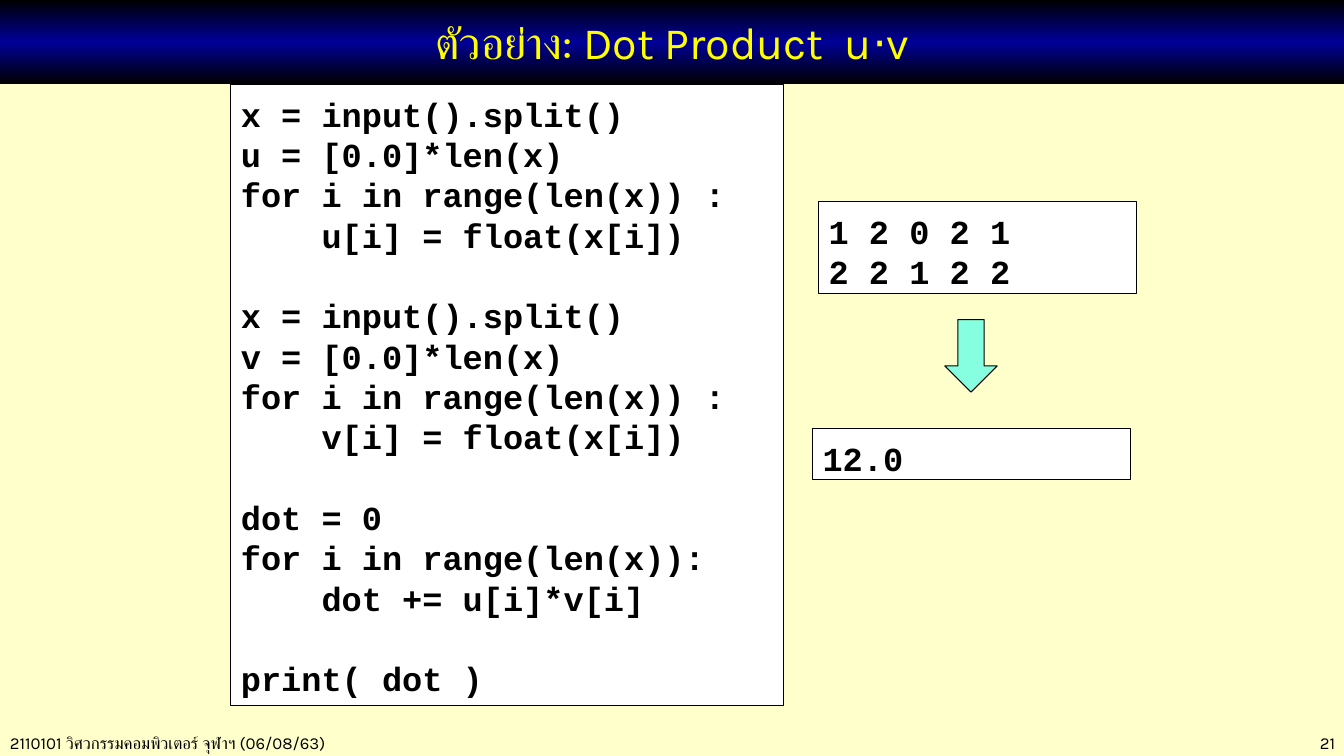
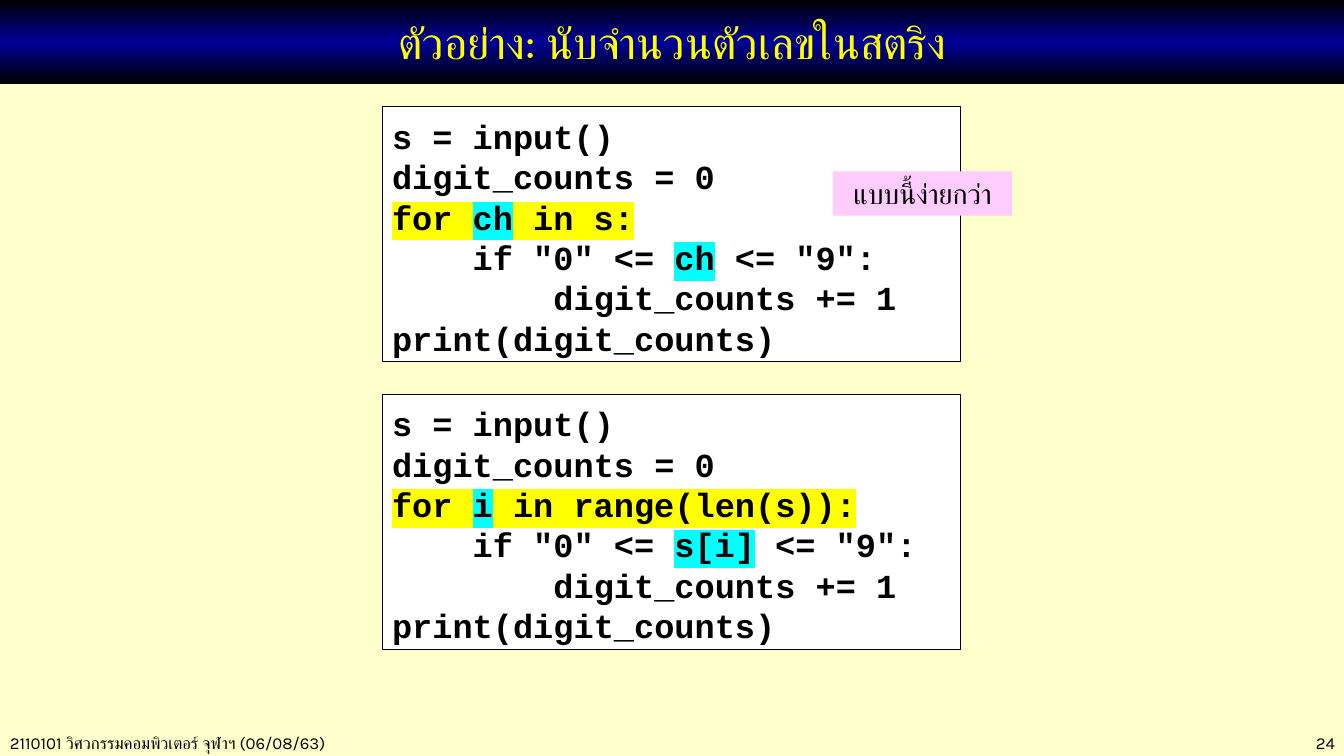
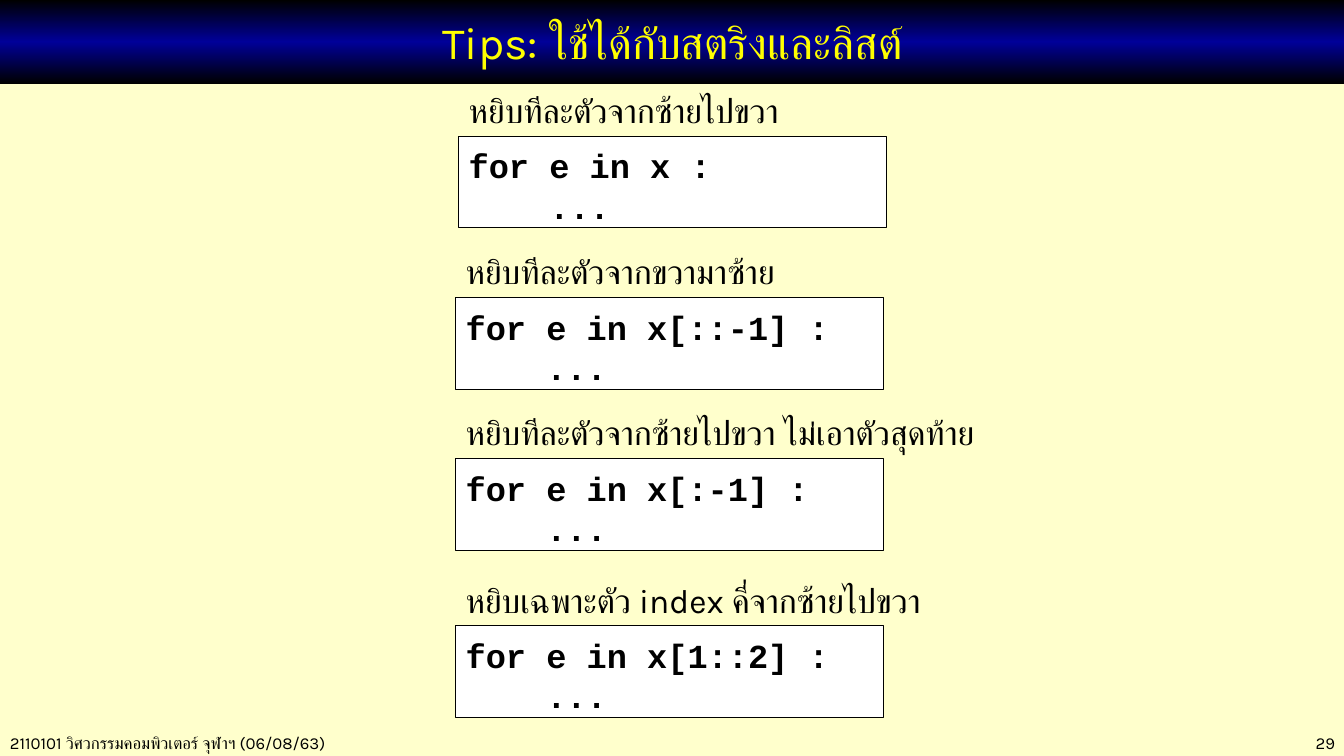
from copy import deepcopy
from dataclasses import dataclass

from lxml import etree
from pptx import Presentation
from pptx.dml.color import RGBColor
from pptx.enum.shapes import MSO_SHAPE
from pptx.enum.text import MSO_ANCHOR, PP_ALIGN
from pptx.oxml.ns import qn
from pptx.util import Emu, Pt

PX = 9144  # EMU per px, 100 px to the inch
LEFT, CENTER, RIGHT = PP_ALIGN.LEFT, PP_ALIGN.CENTER, PP_ALIGN.RIGHT
RECTANGLE, DOWN_ARROW = MSO_SHAPE.RECTANGLE, MSO_SHAPE.DOWN_ARROW


@dataclass(frozen=True)
class Theme:
    background: str = "FFFFCC"
    ink: str = "000000"
    paper: str = "FFFFFF"
    title: str = "FFFF00"
    band: tuple = ("000000", "000099", "000000")
    arrow: str = "85FFE0"
    remark: str = "FFCCFF"
    loop: str = "FFFF00"
    item: str = "00FFFF"
    text_font: str = "Karla"
    code_font: str = "Courier New"
    title_size: int = 32
    body_size: int = 24
    remark_size: int = 20
    footer_size: int = 12
    code_line: float = 28.8


THEME = Theme()


def write(shape, lines, size, align=LEFT, color=THEME.ink, code=False):
    """Fill a shape with lines; a line is a string or a list of (text, highlight)."""
    frame = shape.text_frame
    frame.word_wrap = True
    frame.vertical_anchor = MSO_ANCHOR.TOP
    if code:
        frame.margin_top = Emu(9 * PX)
    family = THEME.code_font if code else THEME.text_font
    paragraph, gap = None, 0
    for line in lines:
        if not line:
            gap += THEME.code_line
            continue
        paragraph = frame.add_paragraph() if paragraph else frame.paragraphs[0]
        paragraph.alignment = align
        paragraph.space_before = Pt(gap)
        gap = 0
        if code:
            paragraph.line_spacing = Pt(THEME.code_line)
        font = paragraph.font
        font.size, font.bold, font.name = Pt(size), code, family
        font.color.rgb = RGBColor.from_string(color)
        defaults = paragraph._p.pPr.find(qn("a:defRPr"))
        etree.SubElement(defaults, qn("a:cs")).set("typeface", family)
        for text, highlight in [(line, None)] if isinstance(line, str) else line:
            span = paragraph.add_run()
            span.text = text
            if highlight:
                mark = etree.SubElement(span._r.get_or_add_rPr(), qn("a:highlight"))
                etree.SubElement(mark, qn("a:srgbClr")).set("val", highlight)


def add_box(page, area, fill, kind=RECTANGLE, outlined=True):
    box = page.shapes.add_shape(kind, *(Emu(n * PX) for n in area))
    box.shadow.inherit = False
    box.fill.solid()
    box.fill.fore_color.rgb = RGBColor.from_string(fill)
    if outlined:
        box.line.color.rgb = RGBColor.from_string(THEME.ink)
        box.line.width = Pt(0.75)
    else:
        box.line.fill.background()
    return box


deck = Presentation()
deck.slide_width, deck.slide_height = Emu(1333 * PX), Emu(750 * PX)
background = deck.slide_master.background.fill
background.solid()
background.fore_color.rgb = RGBColor.from_string(THEME.background)

# Title band and footers
pages = []
for title, number in [
    ("ตัวอย่าง: Dot Product  u⋅v", "21"),
    ("ตัวอย่าง: นับจำนวนตัวเลขในสตริง", "24"),
    ("Tips: ใช้ได้กับสตริงและลิสต์", "29"),
]:
    page = deck.slides.add_slide(deck.slide_layouts[5])
    pages.append(page)
    band = page.shapes.title
    band.left, band.top = Emu(0), Emu(0)
    band.width, band.height = Emu(1334 * PX), Emu(83 * PX)
    band.fill.gradient()
    band.fill.gradient_angle = 90
    stops = band._element.spPr.find(".//" + qn("a:gsLst"))
    stops.insert(1, deepcopy(stops[0]))
    for index, (stop, color) in enumerate(zip(band.fill.gradient_stops, THEME.band)):
        stop.position = index / 2
        stop.color.rgb = RGBColor.from_string(color)
    write(band, [title], THEME.title_size, CENTER, THEME.title)
    band.text_frame.vertical_anchor = MSO_ANCHOR.MIDDLE

    for left, width, text, align in [
        (0, 520, "2110101 วิศวกรรมคอมพิวเตอร์ จุฬาฯ (06/08/63)", LEFT),
        (1150, 184, number, RIGHT),
    ]:
        footer = page.shapes.add_textbox(*(Emu(n * PX) for n in (left, 722, width, 30)))
        write(footer, [text], THEME.footer_size, align)

dot_page, digits_page, tips_page = pages

# Dot product
read_vectors = []
for vector in "uv":
    read_vectors += [
        "x = input().split()",
        f"{vector} = [0.0]*len(x)",
        "for i in range(len(x)) :",
        f"    {vector}[i] = float(x[i])",
        "",
    ]
dot_code = read_vectors + [
    "dot = 0",
    "for i in range(len(x)):",
    "    dot += u[i]*v[i]",
    "",
    "print( dot )",
]
for area, lines in [
    ((229, 84, 548, 616), dot_code),
    ((812, 200, 315, 91), ["1 2 0 2 1", "2 2 1 2 2"]),
    ((806, 425, 315, 51), ["12.0"]),
]:
    write(add_box(dot_page, area, THEME.paper), lines, THEME.body_size, code=True)
add_box(dot_page, (937, 317, 52, 72), THEME.arrow, DOWN_ARROW)

# Counting digits
for top, variable, sequence, digit in [
    (106, "ch", "s", "ch"),
    (391, "i", "range(len(s))", "s[i]"),
]:
    lines = [
        "s = input()",
        "digit_counts = 0",
        [("for ", THEME.loop), (variable, THEME.item), (f" in {sequence}:", THEME.loop)],
        [('    if "0" <= ', None), (digit, THEME.item), (' <= "9":', None)],
        "        digit_counts += 1",
        "print(digit_counts)",
    ]
    box = add_box(digits_page, (379, top, 574, 253), THEME.paper)
    write(box, lines, THEME.body_size, code=True)
remark = add_box(digits_page, (826, 170, 178, 44), THEME.remark, outlined=False)
write(remark, ["แบบนี้ง่ายกว่า"], THEME.remark_size, CENTER)

# Iteration tips: a label directly above each code box
for left, top, label_width, label, sequence in [
    (455, 84, 424, "หยิบทีละตัวจากซ้ายไปขวา", "x"),
    (452, 244, 424, "หยิบทีละตัวจากขวามาซ้าย", "x[::-1]"),
    (452, 404, 644, "หยิบทีละตัวจากซ้ายไปขวา ไม่เอาตัวสุดท้าย", "x[:-1]"),
    (452, 570, 644, "หยิบเฉพาะตัว index คี่จากซ้ายไปขวา", "x[1::2]"),
]:
    box = add_box(tips_page, (left, top + 51, 424, 91), THEME.paper)
    write(box, [f"for e in {sequence} :", "    ..."], THEME.body_size, code=True)
    caption = tips_page.shapes.add_textbox(*(Emu(n * PX) for n in (left, top, label_width, 51)))
    write(caption, [label], THEME.body_size)

deck.save("out.pptx")
